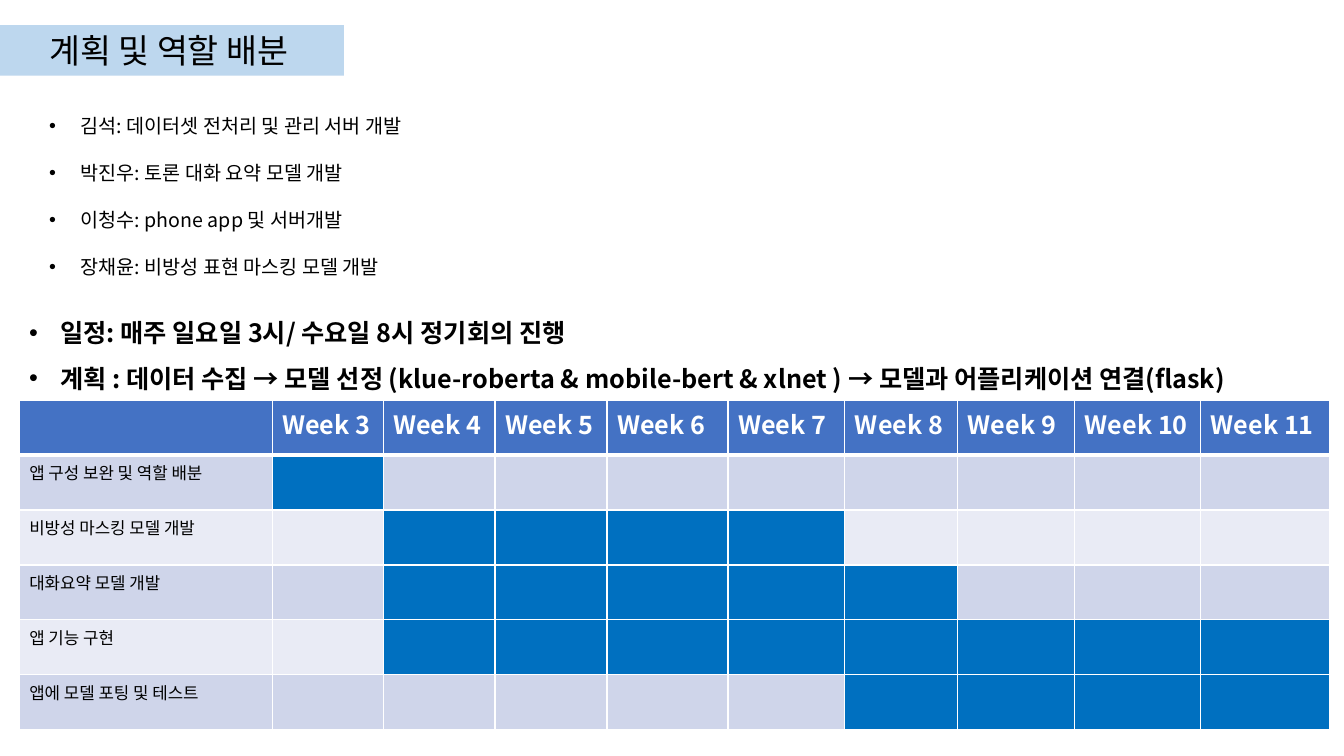
from dataclasses import dataclass

from lxml import etree
from pptx import Presentation
from pptx.dml.color import RGBColor
from pptx.enum.shapes import MSO_SHAPE
from pptx.enum.text import PP_ALIGN
from pptx.oxml.ns import qn
from pptx.util import Pt

RECT = MSO_SHAPE.RECTANGLE
LEFT = PP_ALIGN.LEFT
JUSTIFY = PP_ALIGN.JUSTIFY
PX = 9144


@dataclass(frozen=True)
class Theme:
    font: str = "Noto Sans CJK KR"
    ink: str = "000000"
    white: str = "FFFFFF"
    band: str = "BDD7EE"
    head: str = "4472C4"
    busy: str = "0070C0"
    odd: str = "CFD5EA"
    even: str = "E9EBF5"
    title: int = 24
    plan: int = 18
    team: int = 14
    task: int = 12
    lead: float = 1.2


THEME = Theme()
TEAM = [
    "김석: 데이터셋 전처리 및 관리 서버 개발",
    "박진우: 토론 대화 요약 모델 개발",
    "이청수: phone app 및 서버개발",
    "장채윤: 비방성 표현 마스킹 모델 개발",
]
PLAN = [
    "일정: 매주 일요일 3시/ 수요일 8시 정기회의 진행",
    "계획 : 데이터 수집 → 모델 선정 (klue-roberta & mobile-bert & xlnet ) "
    "→ 모델과 어플리케이션 연결(flask)",
]
WEEKS = range(3, 12)
TASKS = [
    ("앱 구성 보완 및 역할 배분", 3, 3),
    ("비방성 마스킹 모델 개발", 4, 7),
    ("대화요약 모델 개발", 4, 8),
    ("앱 기능 구현", 4, 11),
    ("앱에 모델 포팅 및 테스트", 8, 11),
]
COLS = [251, 110, 111, 111, 120, 116, 112, 116, 125, 128]


def scale(box):
    return [side * PX for side in box]


def paint(fill, tint):
    fill.solid()
    fill.fore_color.rgb = RGBColor.from_string(tint)


def write(para, text, size, tint, bold=False):
    run = para.add_run()
    run.text = text
    font = run.font
    font.name = THEME.font
    font.size = Pt(size)
    font.bold = bold
    font.color.rgb = RGBColor.from_string(tint)
    east = etree.SubElement(run._r.get_or_add_rPr(), qn("a:ea"))
    east.set("typeface", THEME.font)


def frame(slide, box):
    text = slide.shapes.add_textbox(*scale(box)).text_frame
    text.word_wrap = True
    return text


def bullet(para):
    props = para._p.get_or_add_pPr()
    props.set("marL", str(31 * PX))
    props.set("indent", str(-31 * PX))
    face = etree.SubElement(props, qn("a:buFont"))
    face.set("typeface", "Arial")
    etree.SubElement(props, qn("a:buChar")).set("char", "•")


def bullets(text, lines, size, leads, gap=0, bold=False):
    for place, (line, lead) in enumerate(zip(lines, leads)):
        para = text.add_paragraph() if place else text.paragraphs[0]
        para.line_spacing = Pt(size * lead)
        para.space_after = Pt(gap)
        bullet(para)
        write(para, line, size, THEME.ink, bold)


def heading(slide, box):
    left, top, width, height = box
    band = slide.shapes.add_shape(RECT, *scale((left, top, 341, height)))
    band.shadow.inherit = False
    paint(band.fill, THEME.band)
    band.line.fill.background()
    para = frame(slide, (left + 39, top, width - 39, height)).paragraphs[0]
    para.line_spacing = Pt(THEME.title * THEME.lead)
    write(para, "계획 및 역할 배분", THEME.title, THEME.ink)


def team(slide, box):
    gap = THEME.team * THEME.lead
    bullets(frame(slide, box), TEAM, THEME.team, [THEME.lead] * len(TEAM), gap)


def plan(slide, box):
    text = frame(slide, box)
    text.margin_top = 32 * PX
    leads = [THEME.lead, THEME.lead * 1.5]
    bullets(text, PLAN, THEME.plan, leads, bold=True)


def border(cell, row):
    props = cell._tc.get_or_add_tcPr()
    widths = {"L": 1, "R": 1, "T": 3 if row == 1 else 1, "B": 1 if row else 3}
    for side, width in widths.items():
        line = etree.SubElement(props, qn("a:ln" + side))
        line.set("w", str(Pt(width)))
        fill = etree.SubElement(line, qn("a:solidFill"))
        etree.SubElement(fill, qn("a:srgbClr")).set("val", THEME.white)


def fill_cell(cell, row, tint, text, size, ink, bold, align):
    border(cell, row)
    paint(cell.fill, tint)
    if text:
        para = cell.text_frame.paragraphs[0]
        para.alignment = align
        write(para, text, size, ink, bold)


def chart(slide, box):
    count = len(TASKS) + 1
    grid = slide.shapes.add_table(count, len(COLS), *scale(box)).table
    for col, width in zip(grid.columns, COLS):
        col.width = width * PX
    for row in grid.rows:
        row.height = box[3] * PX // count
    heads = [""] + [f"Week {week}" for week in WEEKS]
    for col, text in enumerate(heads):
        fill_cell(grid.cell(0, col), 0, THEME.head, text, THEME.plan,
                  THEME.white, True, JUSTIFY)
    for row, (task, start, end) in enumerate(TASKS, 1):
        base = THEME.odd if row % 2 else THEME.even
        tints = [base] + [THEME.busy if start <= week <= end else base
                          for week in WEEKS]
        for col, tint in enumerate(tints):
            fill_cell(grid.cell(row, col), row, tint, "" if col else task,
                      THEME.task, THEME.ink, False, LEFT)


def main():
    deck = Presentation()
    deck.slide_width, deck.slide_height = scale((1333, 750))
    slide = deck.slides.add_slide(deck.slide_layouts[6])
    heading(slide, (0, 25, 809, 50))
    team(slide, (39, 108, 837, 175))
    chart(slide, (19, 397, sum(COLS), 327))
    plan(slide, (19, 283, 1359, 143))
    deck.save("out.pptx")


if __name__ == "__main__":
    main()
